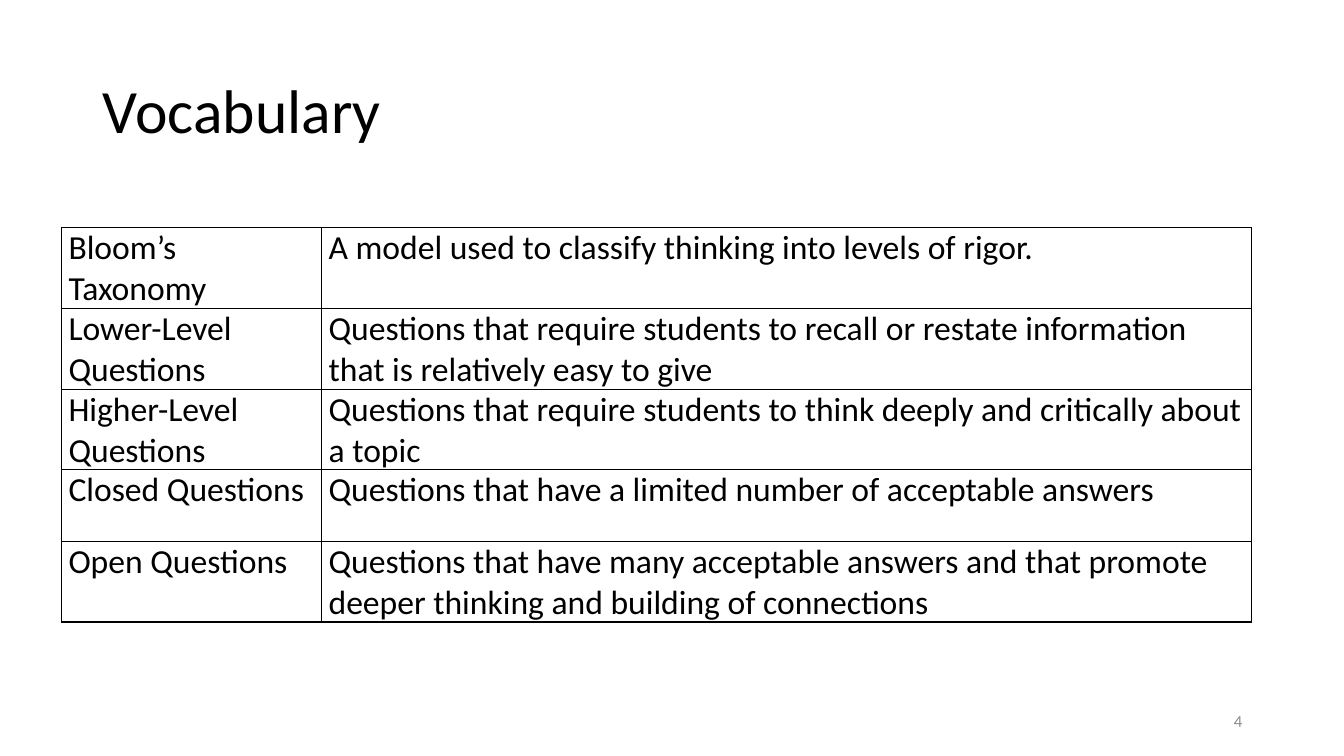
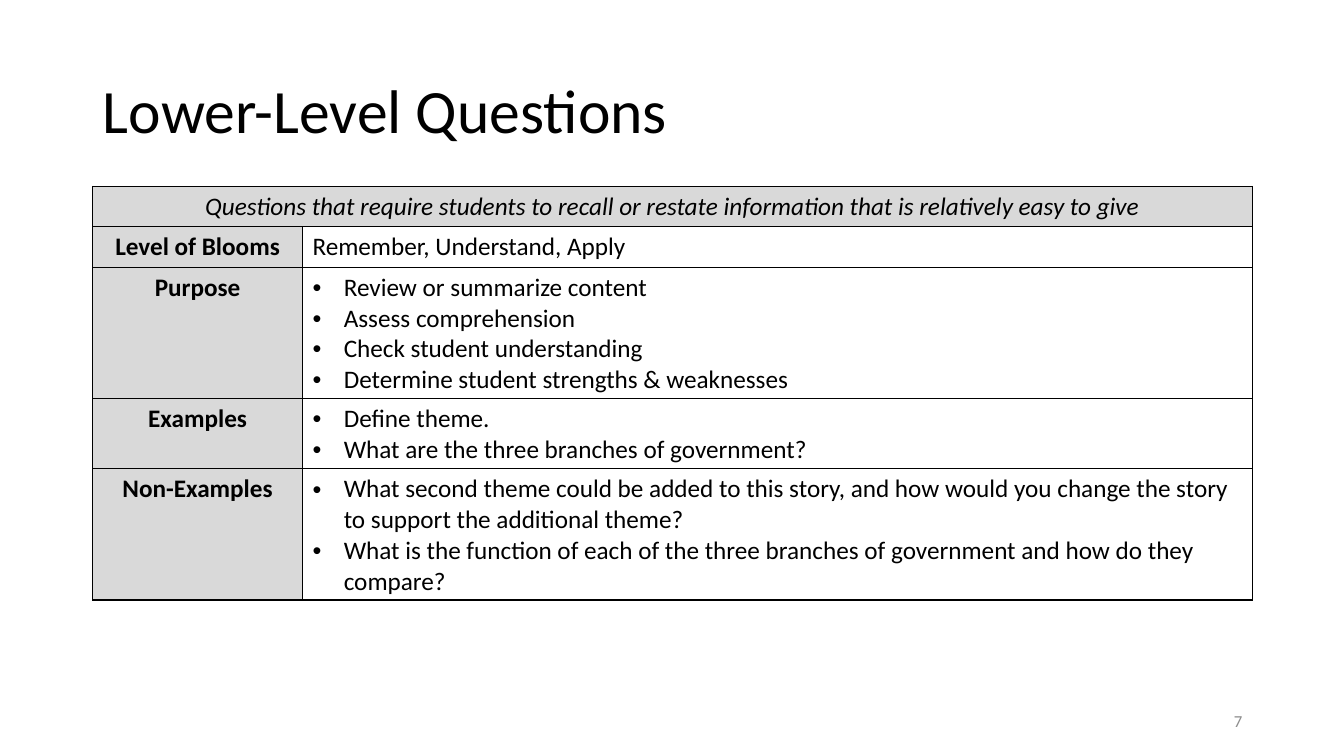
from lxml import etree
from pptx import Presentation
from pptx.dml.color import RGBColor
from pptx.enum.text import MSO_ANCHOR, MSO_AUTO_SIZE, PP_ALIGN
from pptx.oxml.ns import qn
from pptx.util import Inches, Pt

LEFT, CENTER, RIGHT = PP_ALIGN.LEFT, PP_ALIGN.CENTER, PP_ALIGN.RIGHT
MIDDLE, NO_FIT = MSO_ANCHOR.MIDDLE, MSO_AUTO_SIZE.NONE
TITLE_ONLY = 5

FONT = "Calibri"
BLACK, GRAY, SHADE = "000000", "8C8C8C", "D9D9D9"
WIDTH, HEIGHT = 13.33, 7.5
MARGIN = 0.92
BODY_W = 11.5
RIGHT_EDGE = MARGIN + BODY_W
BULLET_INDENT = 0.31

VOCABULARY = [
    ("Bloom’s Taxonomy", "A model used to classify thinking into levels of rigor."),
    ("Lower-Level Questions",
     "Questions that require students to recall or restate information that is relatively easy to give"),
    ("Higher-Level Questions",
     "Questions that require students to think deeply and critically about a topic"),
    ("Closed Questions", "Questions that have a limited number of acceptable answers"),
    ("Open Questions",
     "Questions that have many acceptable answers and that promote deeper thinking and building of connections"),
]

DEFINITION = "Questions that require students to recall or restate information that is relatively easy to give"
LOWER_LEVEL = [
    ("Level of Blooms", "Remember, Understand, Apply"),
    ("Purpose", [
        "Review or summarize content",
        "Assess comprehension",
        "Check student understanding",
        "Determine student strengths & weaknesses",
    ]),
    ("Examples", [
        "Define theme.",
        "What are the three branches of government?",
    ]),
    ("Non-Examples", [
        "What second theme could be added to this story, and how would you change the story "
        "to support the additional theme?",
        "What is the function of each of the three branches of government and how do they compare?",
    ]),
]


def rgb(value):
    return RGBColor.from_string(value)


def add_bullet(p):
    pPr = p._p.get_or_add_pPr()
    pPr.set("marL", str(Inches(BULLET_INDENT)))
    pPr.set("indent", str(-Inches(BULLET_INDENT)))
    etree.SubElement(pPr, qn("a:buFont"), typeface="Arial")
    etree.SubElement(pPr, qn("a:buChar"), char="•")


def write(tf, text, size, color=BLACK, align=LEFT, bold=False, italic=False):
    """Fill a text frame; a list of strings becomes bullets."""
    bulleted = isinstance(text, list)
    for i, line in enumerate(text if bulleted else [text]):
        p = tf.add_paragraph() if i else tf.paragraphs[0]
        if bulleted:
            add_bullet(p)
        p.alignment = align
        r = p.add_run()
        r.text = line
        font = r.font
        font.name, font.size, font.bold, font.italic = FONT, Pt(size), bold, italic
        font.color.rgb = rgb(color)


def style_cell(cell, fill=None):
    """Draw thin black borders, then set or clear the fill."""
    tcPr = cell._tc.get_or_add_tcPr()
    for side in ("lnL", "lnR", "lnT", "lnB"):
        ln = etree.SubElement(tcPr, qn(f"a:{side}"), w=str(Pt(1)))
        solid = etree.SubElement(ln, qn("a:solidFill"))
        etree.SubElement(solid, qn("a:srgbClr"), val=BLACK)
    if fill:
        cell.fill.solid()
        cell.fill.fore_color.rgb = rgb(fill)
    else:
        cell.fill.background()


def add_grid(slide, left, top, height, cols, rows):
    frame = slide.shapes.add_table(len(rows), len(cols), Inches(left), Inches(top),
                                   Inches(sum(cols)), Inches(height))
    table = frame.table
    table.first_row = table.horz_banding = False
    for col, w in zip(table.columns, cols):
        col.width = Inches(w)
    for row, h in zip(table.rows, rows):
        row.height = Inches(h)
    frame.height = Inches(height)
    return table


def add_slide(prs, title, number):
    slide = prs.slides.add_slide(prs.slide_layouts[TITLE_ONLY])
    sp = slide.shapes.title
    sp.left, sp.top, sp.width, sp.height = map(Inches, (MARGIN, 0.4, BODY_W, 1.45))
    tf = sp.text_frame
    tf.auto_size, tf.vertical_anchor = NO_FIT, MIDDLE
    write(tf, title, 44)
    tf.paragraphs[0].line_spacing = 0.9

    box_w = 3
    tf = slide.shapes.add_textbox(Inches(RIGHT_EDGE - box_w), Inches(6.95),
                                  Inches(box_w), Inches(0.4)).text_frame
    tf.word_wrap, tf.vertical_anchor = True, MIDDLE
    write(tf, str(number), 12, color=GRAY, align=RIGHT)
    return slide


def build_vocabulary(prs):
    slide = add_slide(prs, "Vocabulary", 4)
    table = add_grid(slide, 0.61, 2.26, 3.91, (2.58, 9.22), [0.71] * len(VOCABULARY))
    for r, entry in enumerate(VOCABULARY):
        for c, text in enumerate(entry):
            cell = table.cell(r, c)
            cell.margin_left = cell.margin_right = Inches(0.07)
            cell.margin_top = cell.margin_bottom = 0
            write(cell.text_frame, text, 24)
            style_cell(cell)


def build_lower_level(prs):
    slide = add_slide(prs, "Lower-Level Questions", 7)
    label_w = 2.08
    table = add_grid(slide, MARGIN, 1.85, 4.1, (label_w, BODY_W - label_w),
                     (0.25, 0.2, 0.41, 0.41, 0.41))
    header, spanned = table.cell(0, 0), table.cell(0, 1)
    header.merge(spanned)
    write(header.text_frame, DEFINITION, 18, align=CENTER, italic=True)
    style_cell(header, SHADE)
    style_cell(spanned, SHADE)
    for r, (label, content) in enumerate(LOWER_LEVEL, 1):
        label_cell, content_cell = table.cell(r, 0), table.cell(r, 1)
        write(label_cell.text_frame, label, 18, align=CENTER, bold=True)
        style_cell(label_cell, SHADE)
        write(content_cell.text_frame, content, 18)
        style_cell(content_cell)


def main():
    prs = Presentation()
    prs.slide_width, prs.slide_height = Inches(WIDTH), Inches(HEIGHT)
    build_vocabulary(prs)
    build_lower_level(prs)
    prs.save("out.pptx")


if __name__ == "__main__":
    main()
